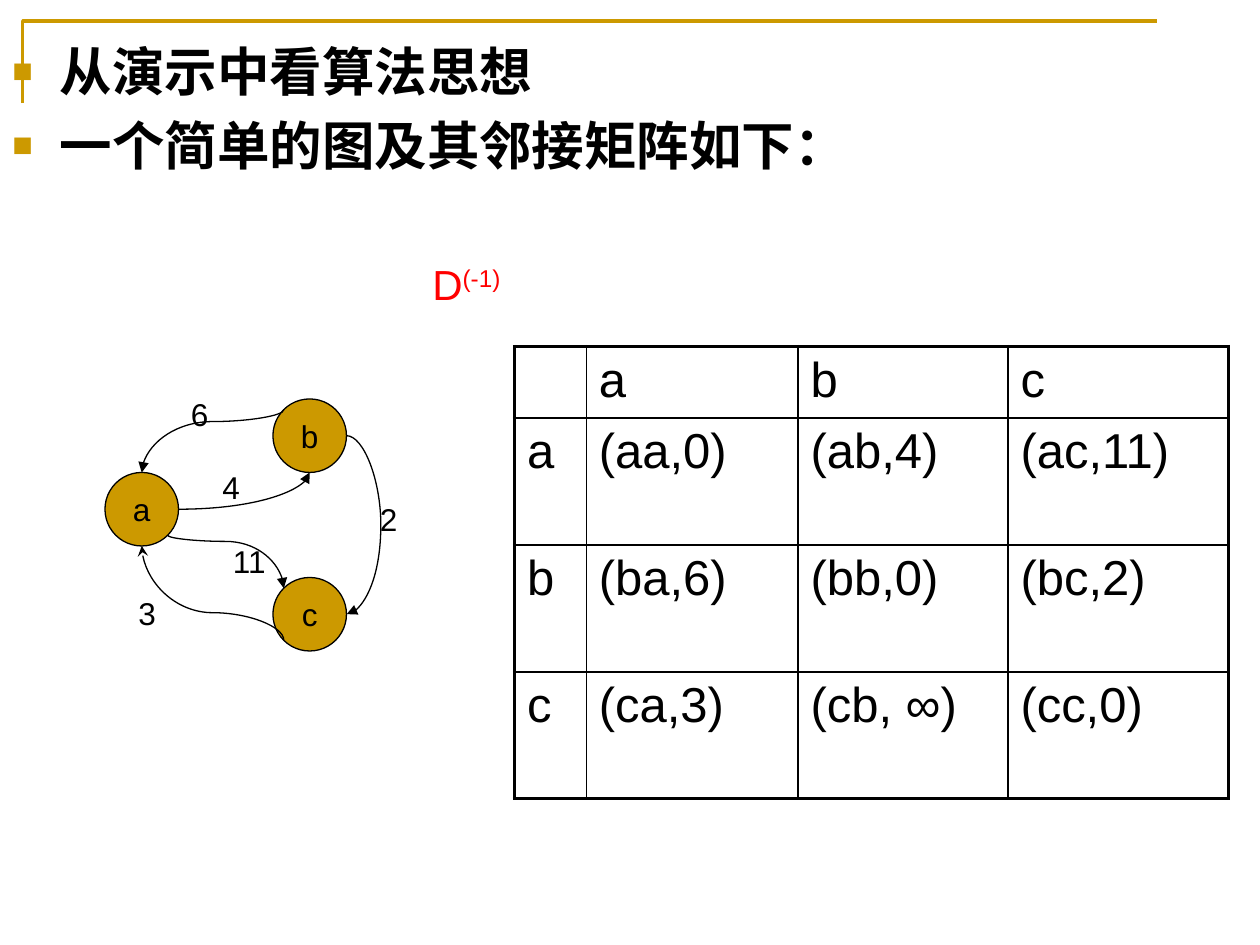
"""Build a slide showing a small directed graph and its path matrix."""
from lxml import etree
from pptx import Presentation
from pptx.dml.color import RGBColor
from pptx.enum.shapes import MSO_CONNECTOR, MSO_SHAPE
from pptx.enum.text import MSO_ANCHOR, PP_ALIGN
from pptx.oxml.ns import qn
from pptx.util import Pt

CURVE = MSO_CONNECTOR.CURVE
OVAL = MSO_SHAPE.OVAL
MIDDLE = MSO_ANCHOR.MIDDLE
CENTER = PP_ALIGN.CENTER
GOLD, BLACK, RED = "CC9900", "000000", "FF0000"


def color(code):
    return RGBColor.from_string(code)


def write(para, text, size, code=BLACK):
    run = para.add_run()
    run.text = text
    run.font.name = "Arial"
    run.font.size = Pt(size)
    run.font.color.rgb = color(code)
    return run


deck = Presentation()
deck.slide_width, deck.slide_height = Pt(720), Pt(540)
slide = deck.slides.add_slide(deck.slide_layouts[6])
shapes = slide.shapes

path = shapes.build_freeform(13, 59, scale=Pt(1))
path.add_line_segments([(13, 11.5), (661, 11.5)], close=False)
frame = path.convert_to_shape()
frame.shadow.inherit = False
frame.fill.background()
frame.line.color.rgb = color(GOLD)
frame.line.width = Pt(2)

body = shapes.add_textbox(Pt(0), Pt(19), Pt(700), Pt(106)).text_frame
body.word_wrap = True
lines = ["从演示中看算法思想", "一个简单的图及其邻接矩阵如下："]
for i, text in enumerate(lines):
    para = body.add_paragraph() if i else body.paragraphs[0]
    props = para._p.get_or_add_pPr()
    props.set("marL", str(Pt(27)))
    props.set("indent", str(Pt(-27)))
    tint = etree.SubElement(props, qn("a:buClr"))
    etree.SubElement(tint, qn("a:srgbClr"), val=GOLD)
    etree.SubElement(props, qn("a:buSzPct"), val="65000")
    etree.SubElement(props, qn("a:buFont"), typeface="Arial")
    etree.SubElement(props, qn("a:buChar"), char="■")
    if i:
        para.space_before = Pt(6)
    write(para, text, 30).font.bold = True

for name, left, top in [("a", 60, 270), ("b", 156, 228), ("c", 156, 330)]:
    node = shapes.add_shape(OVAL, Pt(left), Pt(top), Pt(42), Pt(42))
    node.shadow.inherit = False
    node.fill.solid()
    node.fill.fore_color.rgb = color(GOLD)
    node.line.color.rgb = color(BLACK)
    node.line.width = Pt(0.75)
    text = node.text_frame
    text.word_wrap = False
    text.vertical_anchor = MIDDLE
    text.paragraphs[0].alignment = CENTER
    write(text.paragraphs[0], name, 18)

edges = [
    (102, 291, 177, 270, False, None, "tailEnd", "triangle"),
    (162.15, 234.15, 81, 270, True, 18800, "tailEnd", "triangle"),
    (95.85, 305.85, 162.15, 336.15, True, 11600, "tailEnd", "triangle"),
    (81, 312, 162.15, 365.85, True, 70800, "headEnd", "stealth"),
    (198, 249, 198.13, 351, False, 13846000, "tailEnd", "triangle"),
]
for x1, y1, x2, y2, turn, bend, end, head in edges:
    if turn:
        midx, midy = (x1 + x2) / 2, (y1 + y2) / 2
        halfx, halfy = (x2 - x1) / 2, (y2 - y1) / 2
        x1, x2 = midx + halfy, midx - halfy
        y1, y2 = midy - halfx, midy + halfx
    edge = shapes.add_connector(CURVE, Pt(x1), Pt(y1), Pt(x2), Pt(y2))
    edge.line.color.rgb = color(BLACK)
    edge.line.width = Pt(0.75)
    props = edge._element.spPr
    if turn:
        props.find(qn("a:xfrm")).set("rot", "16200000")
    geom = props.find(qn("a:prstGeom"))
    if bend is None:
        geom.set("prst", "curvedConnector2")
    else:
        guide = geom.find(qn("a:avLst"))
        etree.SubElement(guide, qn("a:gd"), name="adj1", fmla=f"val {bend}")
    etree.SubElement(props.find(qn("a:ln")), qn("a:" + end), type=head)
    etree.SubElement(props, qn("a:effectLst"))

costs = [("11", 126, 306), ("6", 102, 222), ("4", 120, 264),
         ("2", 210, 282), ("3", 72, 336)]
for cost, left, top in costs:
    label = shapes.add_textbox(Pt(left), Pt(top), Pt(36), Pt(29)).text_frame
    label.word_wrap = True
    write(label.paragraphs[0], cost, 18)

cells = [
    ["", "a", "b", "c"],
    ["a", "(aa,0)", "(ab,4)", "(ac,11)"],
    ["b", "(ba,6)", "(bb,0)", "(bc,2)"],
    ["c", "(ca,3)", "(cb, ∞)", "(cc,0)"],
]
wide, tall = [41, 121, 120, 126], [41, 72.5, 72.5, 72.5]
grid = shapes.add_table(4, 4, Pt(294), Pt(198), Pt(sum(wide)), Pt(sum(tall))).table
grid.first_row = grid.horz_banding = False
for i in range(4):
    grid.columns[i].width = Pt(wide[i])
    grid.rows[i].height = Pt(tall[i])
for r, row in enumerate(cells):
    for c, text in enumerate(row):
        cell = grid.cell(r, c)
        props = cell._tc.get_or_add_tcPr()
        outer = {"L": c == 0, "R": c == 3, "T": r == 0, "B": r == 3}
        for side, thick in outer.items():
            width = str(Pt(2.25 if thick else 1))
            rule = etree.SubElement(props, qn("a:ln" + side), w=width)
            fill = etree.SubElement(rule, qn("a:solidFill"))
            etree.SubElement(fill, qn("a:srgbClr"), val=BLACK)
        cell.fill.background()
        if text:
            write(cell.text_frame.paragraphs[0], text, 28)

title = shapes.add_textbox(Pt(240), Pt(144), Pt(72), Pt(36)).text_frame
title.word_wrap = True
write(title.paragraphs[0], "D", 24, RED)
power = write(title.paragraphs[0], "(-1)", 24, RED)
power.font._element.set("baseline", "30000")

deck.save("out.pptx")
